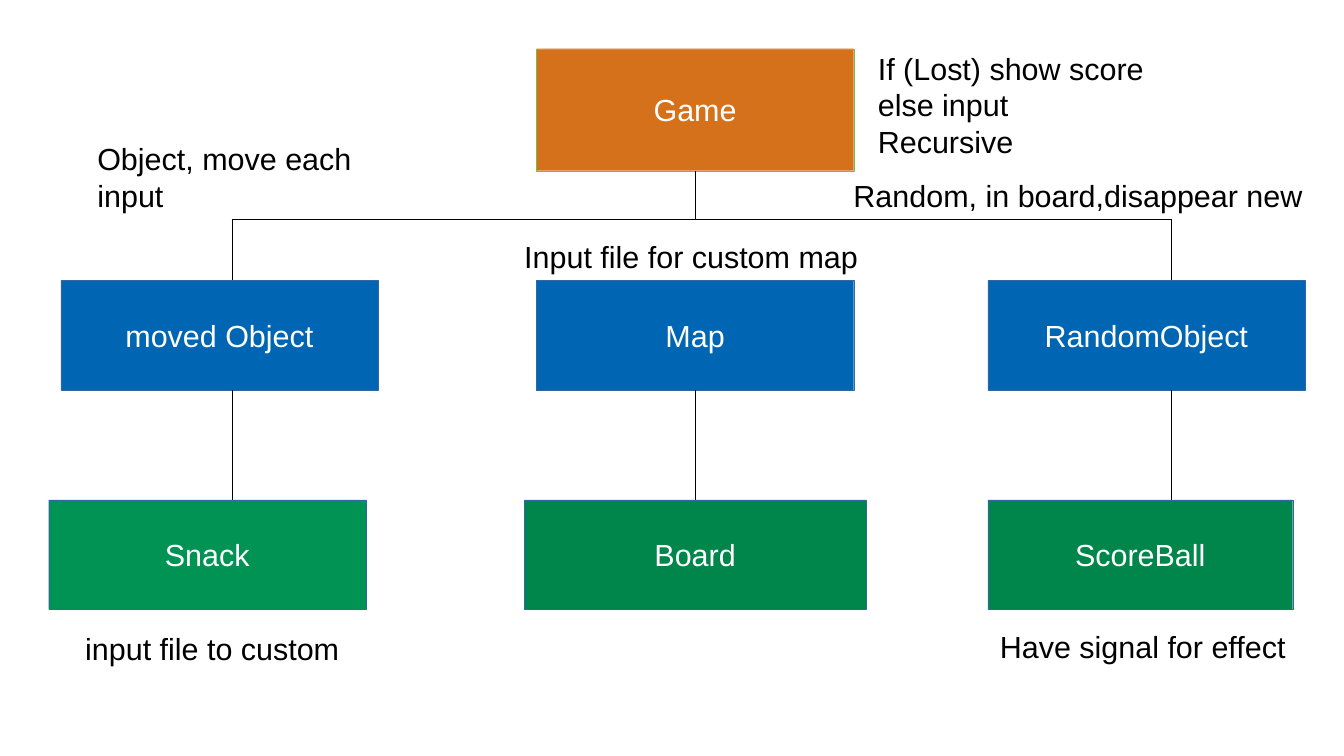
from dataclasses import dataclass

from pptx import Presentation, util as u
from pptx.dml.color import RGBColor
from pptx.enum import shapes, text
from pptx.oxml.ns import qn
from lxml import etree

PX = u.Inches(1) // 100
TOP_SIDE, BOTTOM_SIDE = 0, 2


@dataclass(frozen=True)
class Theme:
    font: str = "Arial"
    size: int = 18
    hairline: float = 0.1
    ink: str = "000000"
    label: str = "FFFFFF"
    root: str = "D4711A"
    root_edge: str = "72BF44"
    parent: str = "0066B3"
    child: str = "00864B"
    bright_child: str = "009353"
    edge: str = "3465A4"


THEME = Theme()


@dataclass(frozen=True)
class Box:
    left: int
    top: int
    width: int
    height: int

    @property
    def center(self):
        return self.left + self.width // 2

    @property
    def bottom(self):
        return self.top + self.height

    def inner(self, left, top, width, height):
        """Return a box placed relative to this one."""
        return Box(self.left + left, self.top + top, width, height)

    def emu(self):
        return [value * PX for value in (self.left, self.top, self.width, self.height)]


def style_text(frame, wording, color, align):
    frame.text = wording
    for para in frame.paragraphs:
        para.alignment = align
        para.font.name = THEME.font
        para.font.size = u.Pt(THEME.size)
        para.font.color.rgb = RGBColor.from_string(color)


def style_line(line, color):
    line.color.rgb = RGBColor.from_string(color)
    line.width = u.Pt(THEME.hairline)


def add_node(page, box, label, fill, edge=THEME.edge):
    node = page.shapes.add_shape(shapes.MSO_SHAPE.RECTANGLE, *box.emu())
    node.shadow.inherit = False
    node.fill.solid()
    node.fill.fore_color.rgb = RGBColor.from_string(fill)
    style_line(node.line, edge)
    node.text_frame.word_wrap = False
    node.text_frame.vertical_anchor = text.MSO_ANCHOR.MIDDLE
    style_text(node.text_frame, label, THEME.label, text.PP_ALIGN.CENTER)
    return node


def add_note(page, box, wording):
    note = page.shapes.add_textbox(*box.emu())
    note.text_frame.word_wrap = True
    note.text_frame.auto_size = text.MSO_AUTO_SIZE.SHAPE_TO_FIT_TEXT
    style_text(note.text_frame, wording, THEME.ink, text.PP_ALIGN.LEFT)


def add_line(page, x1, y1, x2, y2):
    connector = page.shapes.add_connector(
        shapes.MSO_CONNECTOR.STRAIGHT, x1 * PX, y1 * PX, x2 * PX, y2 * PX)
    style_line(connector.line, THEME.ink)
    etree.SubElement(connector._element.spPr, qn("a:effectLst"))
    return connector


def build_root(page, box, stems):
    """Draw the Game node, its note and the rail over the outer stems."""
    game = add_node(page, box, "Game", THEME.root, THEME.root_edge)
    add_note(page, box.inner(270, -4, 280, 94),
             "If (Lost) show score\nelse input\nRecursive")
    rail = box.bottom + 40
    add_line(page, stems[0], rail, stems[-1], rail)
    trunk = add_line(page, box.center, box.bottom, box.center, rail)
    trunk.begin_connect(game, BOTTOM_SIDE)
    for stem in (stems[0], stems[-1]):
        add_line(page, stem, rail, stem, rail + 50)


def build_branch(page, box, stem, parent, child, child_fill):
    """Draw a parent over its child; each is (label, left offset, width)."""
    height = 90
    parent_label, parent_left, parent_width = parent
    child_label, child_left, child_width = child
    upper_box = box.inner(parent_left, 0, parent_width, height)
    lower_box = box.inner(child_left, box.height - height, child_width, height)
    upper = add_node(page, upper_box, parent_label, THEME.parent)
    lower = add_node(page, lower_box, child_label, child_fill)
    link = add_line(page, stem, upper_box.bottom, stem, lower_box.top)
    if upper_box.center == stem:
        link.begin_connect(upper, BOTTOM_SIDE)
    if lower_box.center == stem:
        link.end_connect(lower, TOP_SIDE)


def build_class_tree(page):
    stems = (190, 570, 960)
    build_root(page, Box(440, 40, 260, 100), stems)

    moved, board, random = (Box(left, 230, 280, 270) for left in (40, 430, 810))
    build_branch(page, moved, stems[0], ("moved Object", 10, 260),
                 ("Snack", 0, 260), THEME.bright_child)
    build_branch(page, board, stems[1], ("Map", 10, 260),
                 ("Board", 0, 280), THEME.child)
    build_branch(page, random, stems[2], ("RandomObject", 0, 260),
                 ("ScoreBall", 0, 250), THEME.child)

    add_note(page, moved.inner(30, -120, 250, 66), "Object, move each input")
    add_note(page, board.inner(-10, -40, 319, 38), "Input file for custom map")
    add_note(page, random.inner(-120, -90, 420, 70), "Random, in board,disappear new")
    add_note(page, moved.inner(20, 282, 250, 38), "input file to custom")
    add_note(page, random.inner(0, 280, 280, 38), "Have signal for effect")


def main():
    deck = Presentation()
    deck.slide_width, deck.slide_height = 1102 * PX, 620 * PX
    build_class_tree(deck.slides.add_slide(deck.slide_layouts[6]))
    deck.save("out.pptx")


if __name__ == "__main__":
    main()
